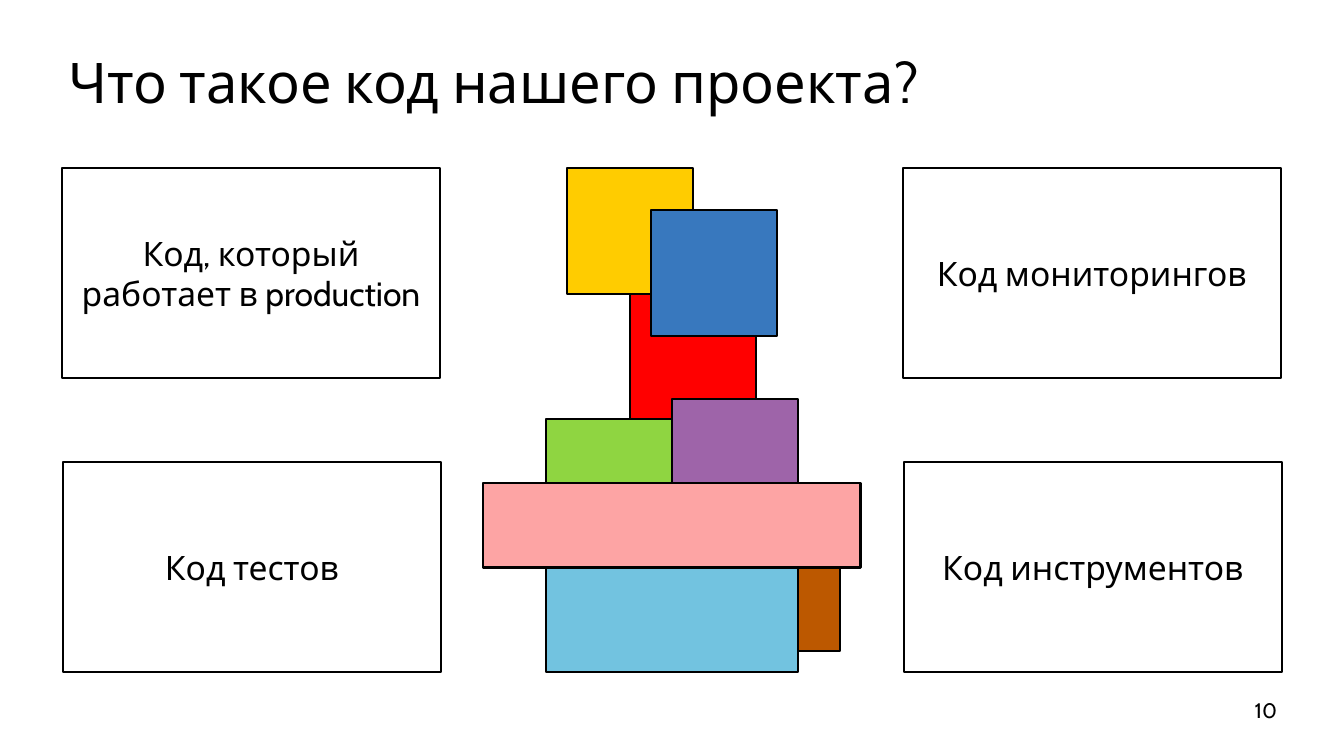
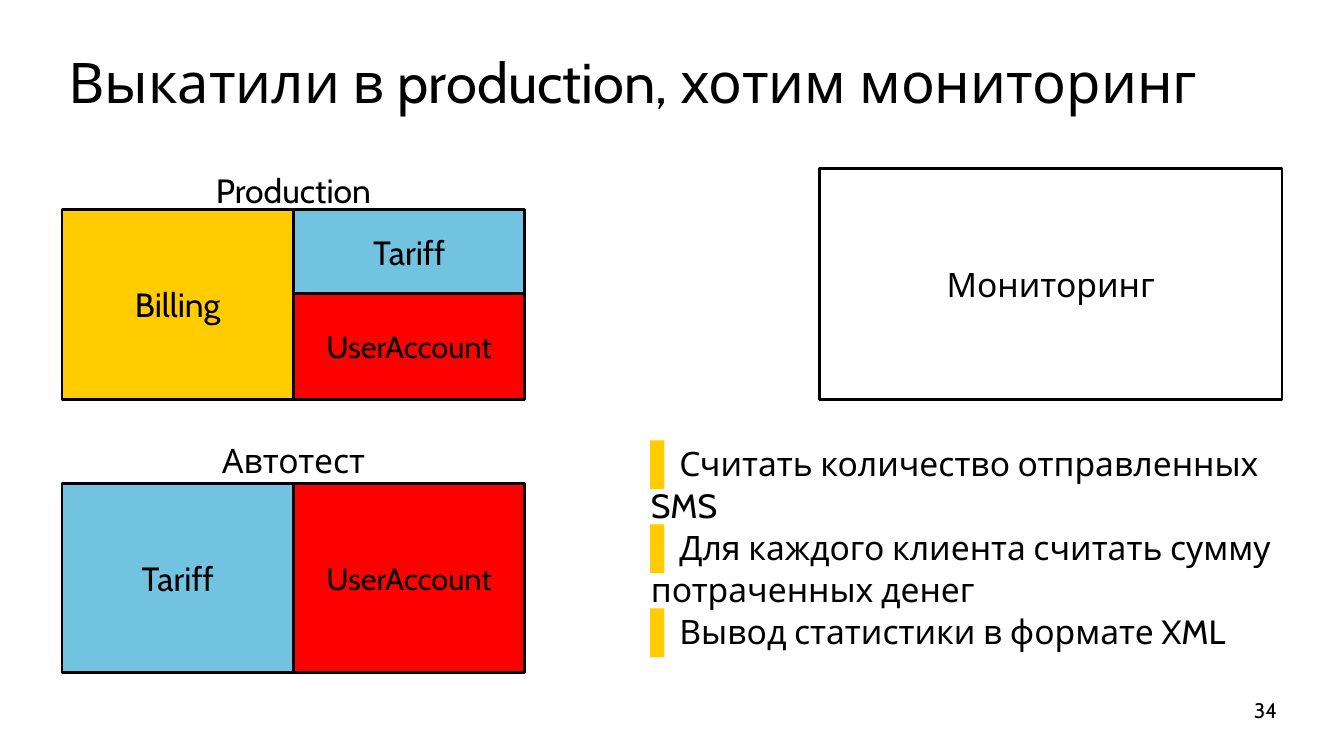
from lxml.etree import SubElement
from pptx import Presentation
from pptx.dml.color import RGBColor
from pptx.enum.shapes import MSO_SHAPE
from pptx.enum.text import MSO_ANCHOR, MSO_AUTO_SIZE, PP_ALIGN
from pptx.oxml.ns import qn
from pptx.util import Emu, Pt

PX = 9144  # 100 px to the inch
FONT = "Cabin"
COLORS = {
    "black": "000000", "white": "FFFFFF", "yellow": "FFCC00", "red": "FF0000",
    "green": "8FD541", "blue": "3878BE", "purple": "9E64A9", "sky": "72C3E0",
    "pink": "FDA4A4", "brown": "BC5800",
}
TITLE_BOX = (125, 83, 2420, 165)
NUMBER_BOX = (2418, 1388, 125, 42)


def px(*lengths):
    return [Emu(n * PX) for n in lengths]


def color(name):
    return RGBColor.from_string(COLORS[name])


def set_all(obj, **values):
    for name, value in values.items():
        setattr(obj, name, value)


def write(p, text, size, **fmt):
    """Put one formatted run into a paragraph."""
    set_all(p, **fmt)
    r = p.add_run()
    r.text = text
    set_all(r.font, name=FONT, size=Pt(size))
    r.font.color.rgb = color("black")


def place(sp, box):
    for name, value in zip(("left", "top", "width", "height"), px(*box)):
        setattr(sp, name, value)


def add_block(s, box, fill=None, text="", size=48, line=3):
    sp = s.shapes.add_shape(MSO_SHAPE.RECTANGLE, *px(*box))
    sp.shadow.inherit = False
    if fill:
        sp.fill.solid()
        sp.fill.fore_color.rgb = color(fill)
    else:
        sp.fill.background()
    sp.line.color.rgb = color("black")
    sp.line.width = Pt(line)
    if text:
        tf = sp.text_frame
        set_all(tf, word_wrap=True, vertical_anchor=MSO_ANCHOR.MIDDLE)
        write(tf.paragraphs[0], text, size, alignment=PP_ALIGN.CENTER)


def add_label(s, box, text, size, align, **frame):
    tf = s.shapes.add_textbox(*px(*box)).text_frame
    set_all(tf, **frame)
    write(tf.paragraphs[0], text, size, alignment=align)


def add_slide(prs, layout, title, number):
    """Slide with the shared title style and page number."""
    s = prs.slides.add_slide(prs.slide_layouts.get_by_name(layout))
    sp = s.shapes.title
    place(sp, TITLE_BOX)
    set_all(sp.text_frame, word_wrap=True, auto_size=MSO_AUTO_SIZE.NONE,
            vertical_anchor=MSO_ANCHOR.TOP)
    write(sp.text_frame.paragraphs[0], title, 80,
          alignment=PP_ALIGN.LEFT, line_spacing=Pt(100))
    add_label(s, NUMBER_BOX, number, 30, PP_ALIGN.RIGHT,
              word_wrap=True, vertical_anchor=MSO_ANCHOR.MIDDLE)
    return s


def add_tower(s, box):
    """Pile of coloured blocks, from back to front."""
    x, y, _, _ = box
    for fill, dx, dy, w, h in (
        ("brown", 208, 709, 501, 250),
        ("red", 292, 250, 250, 250),
        ("green", 125, 499, 500, 167),
        ("yellow", 167, 0, 250, 250),
        ("blue", 334, 83, 250, 250),
        ("purple", 375, 459, 250, 250),
        ("sky", 125, 751, 500, 250),
        ("pink", 0, 626, 749, 167),
    ):
        add_block(s, (x + dx, y + dy, w, h), fill)


def add_code_kinds(s, box):
    """Two by two frames, the lower row shifted slightly right."""
    x, y, w, h = box
    frame_w, frame_h, shift = 750, 417, 2
    kinds = (("Код, который работает в production", "Код мониторингов"),
             ("Код тестов", "Код инструментов"))
    for row, texts in enumerate(kinds):
        for col, text in enumerate(texts):
            left = x + col * (w - frame_w) + row * shift
            add_block(s, (left, y + row * (h - frame_h), frame_w, frame_h),
                      text=text)


def add_modules(s, box, heading, heading_box, left, right):
    """Heading over one module on the left and a stack on the right."""
    x, y, w, h = box
    dx, dy, label_w, label_h = heading_box
    add_label(s, (x + dx, y + dy, label_w, label_h), heading, 48,
              PP_ALIGN.CENTER, word_wrap=False,
              auto_size=MSO_AUTO_SIZE.SHAPE_TO_FIT_TEXT)
    half = w // 2
    fill, text = left
    add_block(s, (x, y, half, h), fill, text, line=4)
    for fill, text, size, part_h in right:
        add_block(s, (x + half, y, half, part_h), fill, text, size, line=4)
        y += part_h


def add_bullets(s, box, items):
    sp = s.placeholders[1]
    place(sp, box)
    tf = sp.text_frame
    set_all(tf, word_wrap=True, auto_size=MSO_AUTO_SIZE.NONE, margin_left=0,
            vertical_anchor=MSO_ANCHOR.MIDDLE)
    for i, item in enumerate(items):
        p = tf.add_paragraph() if i else tf.paragraphs[0]
        write(p, item, 48, level=1, line_spacing=Pt(60),
              space_before=Pt(0), alignment=PP_ALIGN.LEFT)
        # Yellow bar as the bullet, hanging left of the text
        pPr = p._p.get_or_add_pPr()
        pPr.set("marL", "0")
        pPr.set("indent", str(-79 * PX))
        clr = SubElement(pPr, qn("a:buClr"))
        SubElement(clr, qn("a:srgbClr"), val=COLORS["yellow"])
        SubElement(pPr, qn("a:buSzPct"), val="120000")
        SubElement(pPr, qn("a:buChar"), char="▌")


def build_code_slide(prs):
    s = add_slide(prs, "Title Only", "Что такое код нашего проекта?", "10")
    add_tower(s, (958, 333, 749, 1001))
    add_code_kinds(s, (123, 333, 2418, 1001))


def build_monitoring_slide(prs):
    s = add_slide(prs, "Title and Content",
                  "Выкатили в production, хотим мониторинг", "34")
    add_bullets(s, (1291, 834, 1254, 501), (
        "Считать количество отправленных SMS",
        "Для каждого клиента считать сумму потраченных денег",
        "Вывод статистики в формате XML",
    ))
    add_modules(s, (123, 416, 918, 376), "Production", (276, -83, 366, 94),
                ("yellow", "Billing"),
                (("sky", "Tariff", 48, 167), ("red", "UserAccount", 44, 209)))
    add_modules(s, (123, 959, 918, 376), "Автотест", (286, -91, 347, 91),
                ("sky", "Tariff"), (("red", "UserAccount", 44, 376),))
    add_block(s, (1625, 335, 918, 457), text="Мониторинг", line=4)


def main():
    prs = Presentation()
    prs.slide_width, prs.slide_height = px(2666, 1500)
    fill = prs.slide_master.background.fill
    fill.solid()
    fill.fore_color.rgb = color("white")
    build_code_slide(prs)
    build_monitoring_slide(prs)
    prs.save("out.pptx")


if __name__ == "__main__":
    main()
